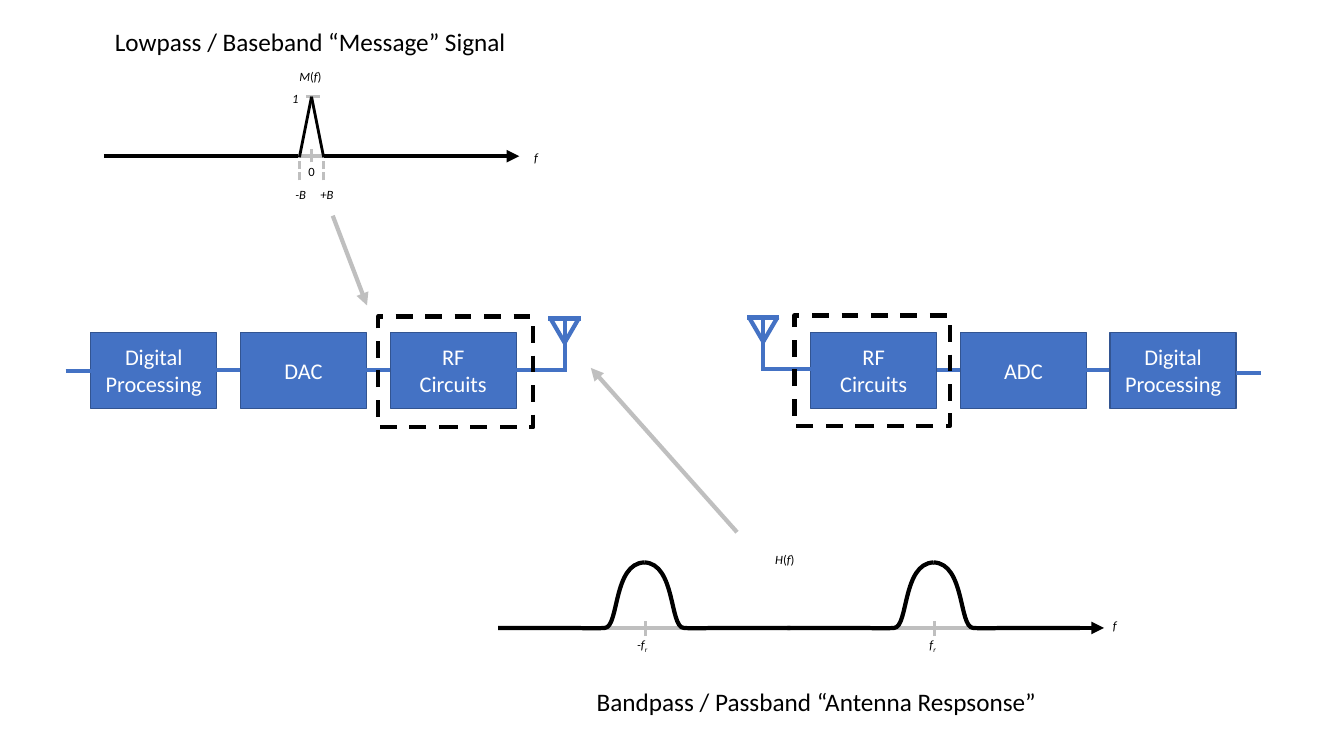
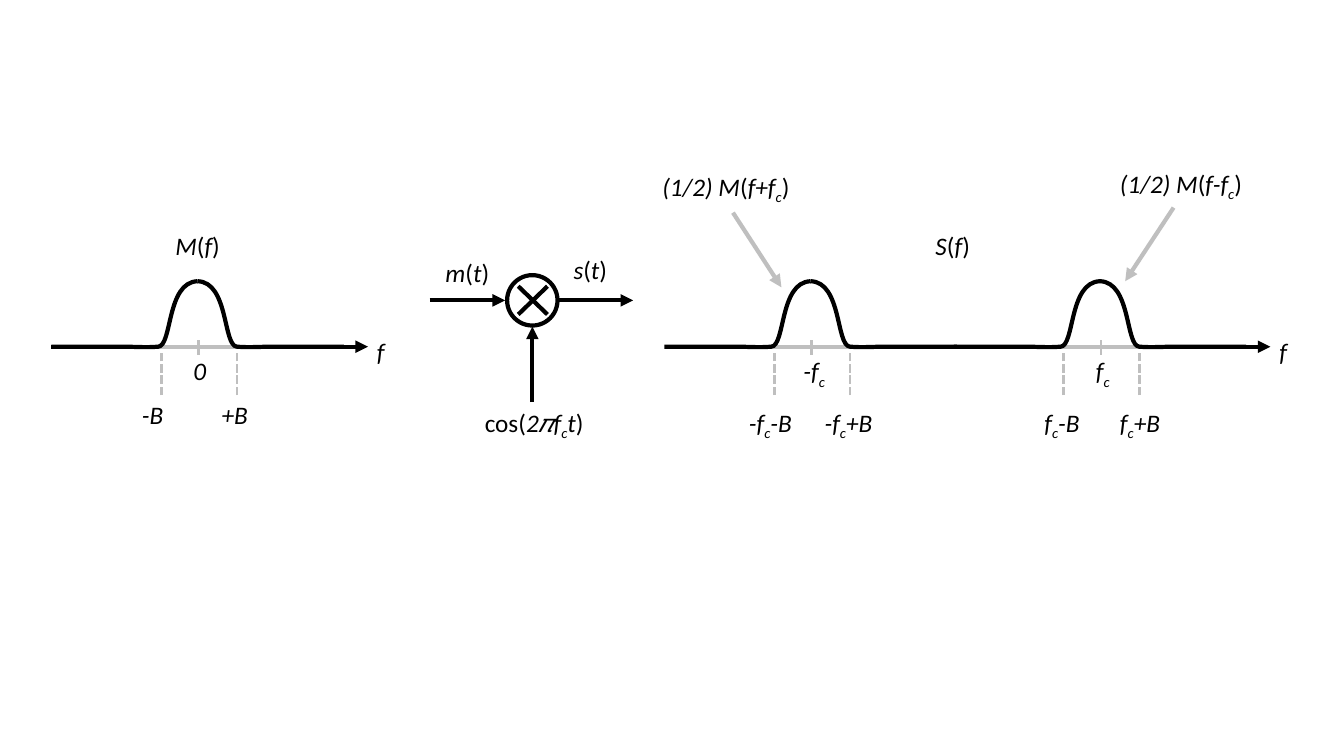
from dataclasses import dataclass

from lxml.etree import SubElement
from pptx import Presentation
from pptx.dml.color import RGBColor
from pptx.enum.dml import MSO_LINE
from pptx.enum.shapes import MSO_CONNECTOR, MSO_SHAPE
from pptx.enum.text import MSO_ANCHOR, MSO_AUTO_SIZE, PP_ALIGN
from pptx.oxml.ns import qn
from pptx.util import Inches, Pt


@dataclass(frozen=True)
class Theme:
    font: str = "Calibri"
    black: RGBColor = RGBColor(0x00, 0x00, 0x00)
    white: RGBColor = RGBColor(0xFF, 0xFF, 0xFF)
    grey: RGBColor = RGBColor(0xBF, 0xBF, 0xBF)
    blue: RGBColor = RGBColor(0x44, 0x72, 0xC4)
    blue_edge: RGBColor = RGBColor(0x32, 0x54, 0x91)
    large: int = 18
    block: int = 16
    small: int = 9
    thick: int = 3
    medium: int = 2
    thin: int = 1


theme = Theme()


def add_line(slide, start, end, color=theme.black, width=theme.thick, dash=None, arrow=False):
    """Draw a straight line between two points given in inches."""
    connector = slide.shapes.add_connector(
        MSO_CONNECTOR.STRAIGHT, *(Inches(value) for value in (*start, *end)))
    connector.line.color.rgb = color
    connector.line.width = Pt(width)
    if dash:
        connector.line.dash_style = dash
    properties = connector.element.spPr
    if arrow:
        SubElement(properties.find(qn("a:ln")), qn("a:tailEnd"), type="triangle")
    SubElement(properties, qn("a:effectLst"))


def add_label(slide, text, left, top, width, size=theme.large, wrap=False):
    """Add a text box; *...* marks italics and ~...~ marks a subscript."""
    height = 0.4 if size == theme.large else 0.25
    box = slide.shapes.add_textbox(Inches(left), Inches(top), Inches(width), Inches(height))
    frame = box.text_frame
    frame.word_wrap = wrap
    frame.auto_size = MSO_AUTO_SIZE.SHAPE_TO_FIT_TEXT
    paragraph = frame.paragraphs[0]
    paragraph.font.name = theme.font
    paragraph.font.size = Pt(size)
    paragraph.font.color.rgb = theme.black
    for part_number, part in enumerate(text.split("*")):
        for piece_number, piece in enumerate(part.split("~")):
            if not piece:
                continue
            run = paragraph.add_run()
            run.text = piece
            run.font.italic = part_number % 2 == 1
            if piece_number % 2:
                run.font._element.set("baseline", "-25000")


presentation = Presentation()
presentation.slide_width = Inches(13.33)
presentation.slide_height = Inches(7.5)
blank_layout = presentation.slide_layouts[6]
radio_slide = presentation.slides.add_slide(blank_layout)
mixer_slide = presentation.slides.add_slide(blank_layout)

# Transmitter and receiver chains: blocks with the wire on their outer side
block_width, block_height, block_pitch, block_top = 1.25, 0.75, 1.485, 3.3
wire_length, wire_y = 0.25, 3.67
chains = [
    (0.9, ["Digital Processing", "DAC", "RF\vCircuits"], -wire_length, [3.68, wire_y, wire_y]),
    (8.04, ["RF\vCircuits", "ADC", "Digital Processing"], block_width, [wire_y, wire_y, 3.7]),
]
for chain_left, names, wire_offset, wire_heights in chains:
    for index, (name, y) in enumerate(zip(names, wire_heights)):
        left = chain_left + index * block_pitch
        block = radio_slide.shapes.add_shape(
            MSO_SHAPE.RECTANGLE, Inches(left), Inches(block_top),
            Inches(block_width), Inches(block_height))
        block.shadow.inherit = False
        block.fill.solid()
        block.fill.fore_color.rgb = theme.blue
        block.line.color.rgb = theme.blue_edge
        block.line.width = Pt(theme.thin)
        frame = block.text_frame
        frame.word_wrap = True
        frame.vertical_anchor = MSO_ANCHOR.MIDDLE
        frame.text = name
        paragraph = frame.paragraphs[0]
        paragraph.alignment = PP_ALIGN.CENTER
        paragraph.font.name = theme.font
        paragraph.font.size = Pt(theme.block)
        paragraph.font.color.rgb = theme.white
        wire_start = left + wire_offset
        add_line(radio_slide, (wire_start, y), (wire_start + wire_length, y), theme.blue)

# Antennas with their feed lines
for x, top, feed_start, feed_end in [(5.6, 3.16, 5.12, 5.62), (7.57, 3.15, 7.55, 8.06)]:
    feed_y = top + 0.51
    tip = (x, top + 0.24)
    add_line(radio_slide, (feed_start, feed_y), (feed_end, feed_y), theme.blue)
    add_line(radio_slide, (x, top), (x, feed_y), theme.blue)
    add_line(radio_slide, (x - 0.14, top), tip, theme.blue)
    add_line(radio_slide, (x + 0.14, top), tip, theme.blue)
    add_line(radio_slide, (x - 0.16, top), (x + 0.16, top), theme.blue)

# Dashed frames around the RF circuits
for left, top in [(3.75, 3.14), (7.88, 3.13)]:
    frame_box = radio_slide.shapes.add_shape(
        MSO_SHAPE.RECTANGLE, Inches(left), Inches(top), Inches(1.54), Inches(1.1))
    frame_box.shadow.inherit = False
    frame_box.fill.background()
    frame_box.line.color.rgb = theme.black
    frame_box.line.width = Pt(theme.thick)
    frame_box.line.dash_style = MSO_LINE.DASH

# Frequency axes
for slide, start, end, y in [
    (radio_slide, 1.03, 5.15, 1.55),
    (radio_slide, 5.56, 10.95, 6.23),
    (mixer_slide, 0.51, 3.65, 3.44),
    (mixer_slide, 7.21, 12.6, 3.44),
]:
    add_line(slide, (start, y), (end, y), arrow=True)

# Triangular message spectrum
peak_x, peak_y, half_band, axis_y = 3.09, 0.96, 0.12, 1.55
add_line(radio_slide, (3.04, peak_y), (3.17, peak_y), theme.grey, theme.medium)
add_line(radio_slide, (2.96, axis_y), (3.21, axis_y), theme.grey)
for edge in (peak_x - half_band, peak_x + half_band):
    add_line(radio_slide, (edge, axis_y + 0.01), (peak_x, peak_y), width=theme.medium)
    add_line(radio_slide, (edge, 1.79), (edge, 1.57), theme.grey, theme.medium,
             MSO_LINE.SQUARE_DOT)
add_line(radio_slide, (peak_x, 1.61), (peak_x, 1.48), theme.grey, theme.medium)

# Bell-shaped pulses: each half is one straight piece and two Bézier curves
half_pulse = [
    (-1.45, 0), (-0.76, 0),
    (-0.59, 0), (-0.53, 0.01), (-0.39, 0),
    (-0.25, -0.01), (-0.31, -0.64), (0, -0.65),
]
for slide, centre, base in [
    (radio_slide, 6.39, 6.23), (radio_slide, 9.26, 6.23),
    (mixer_slide, 1.96, 3.44), (mixer_slide, 8.04, 3.44), (mixer_slide, 10.91, 3.44),
]:
    tick = centre + 0.01
    add_line(slide, (centre - 0.39, base), (centre + 0.39, base), theme.grey)
    add_line(slide, (tick, base + 0.08), (tick, base - 0.07), theme.grey, theme.medium)
    for side in (1, -1):
        points = [(Inches(centre + side * x), Inches(base + y)) for x, y in half_pulse]
        builder = slide.shapes.build_freeform(*points[0])
        builder.add_line_segments(points[1:], close=False)
        pulse = builder.convert_to_shape()
        pulse.shadow.inherit = False
        pulse.fill.background()
        pulse.line.color.rgb = theme.black
        pulse.line.width = Pt(theme.thick)
        # Turn the last six points into two cubic curves
        outline = next(pulse.element.iter(qn("a:path")))
        segments = outline.findall(qn("a:lnTo"))
        for curve_points in (segments[1:4], segments[4:7]):
            curve = SubElement(outline, qn("a:cubicBezTo"))
            for segment in curve_points:
                curve.append(segment[0])
                outline.remove(segment)

# Band-edge markers
for centre in (1.97, 8.05, 10.92):
    for edge in (centre - 0.37, centre + 0.38):
        add_line(mixer_slide, (edge, 3.92), (edge, 3.48), theme.grey, theme.medium,
                 MSO_LINE.SQUARE_DOT)

# Mixer: circle, cross and signal arrows
mixer = mixer_slide.shapes.add_shape(
    MSO_SHAPE.OVAL, Inches(5.03), Inches(2.73), Inches(0.5), Inches(0.5))
mixer.shadow.inherit = False
mixer.fill.background()
mixer.line.color.rgb = theme.black
mixer.line.width = Pt(theme.thick)
add_line(mixer_slide, (5.14, 2.84), (5.43, 3.12))
add_line(mixer_slide, (5.43, 2.84), (5.14, 3.12))
for start, end in [
    ((4.26, 2.98), (5.01, 2.98)),
    ((5.28, 3.99), (5.28, 3.24)),
    ((5.53, 2.98), (6.28, 2.98)),
]:
    add_line(mixer_slide, start, end, arrow=True)

# Grey pointers
for slide, start, end in [
    (radio_slide, (3.3, 2.14), (3.64, 3.03)),
    (radio_slide, (7.31, 5.28), (5.86, 3.65)),
    (mixer_slide, (7.27, 2.11), (7.75, 2.85)),
    (mixer_slide, (11.64, 2.06), (11.16, 2.79)),
]:
    add_line(slide, start, end, theme.grey, arrow=True)

# Captions and axis labels of the radio slide
add_label(radio_slide, "Lowpass / Baseband “Message” Signal", 1.04, 0.21, 4.12)
add_label(radio_slide, "Bandpass / Passband “Antenna Respsonse”", 5.82, 6.76, 4.61)
for text, left, top, width in [
    ("*M*(*f*)", 2.87, 0.63, 0.43),
    ("*1*", 2.8, 0.85, 0.27),
    ("0", 2.96, 1.58, 0.25),
    ("*f*", 5.2, 1.44, 0.24),
    ("*+B*", 3.08, 1.8, 0.33),
    ("*-B*", 2.83, 1.8, 0.31),
    ("*H*(*f*)", 7.59, 5.43, 0.4),
    ("*f*", 10.94, 6.08, 0.24),
    ("*f~r~*", 9.12, 6.27, 0.27),
    ("*-f~r~*", 6.22, 6.27, 0.31),
]:
    add_label(radio_slide, text, left, top, width, theme.small)

# Labels of the mixer slide
for text, left, top, width in [
    ("*M*(*f*)", 1.64, 2.24, 0.65),
    ("*f*", 3.64, 3.29, 0.28),
    ("*0*", 1.82, 3.48, 0.33),
    ("*+B*", 2.1, 3.91, 0.46),
    ("*-B*", 1.31, 3.91, 0.42),
    ("*m*(*t*)", 4.32, 2.5, 0.64),
    ("*s*(*t*)", 5.59, 2.47, 0.54),
    ("cos(*2𝜋f~c~t*)", 4.71, 3.99, 1.23),
    ("*S*(*f*)", 9.18, 2.24, 0.55),
    ("*f*", 12.59, 3.29, 0.28),
    ("*f~c~*", 10.77, 3.48, 0.35),
    ("*-f~c~*", 7.87, 3.48, 0.42),
    ("*(1/2) M*(*f-f~c~*)", 11.01, 1.62, 1.43),
    ("*(1/2) M*(*f+f~c~*)", 6.47, 1.65, 1.48),
]:
    add_label(mixer_slide, text, left, top, width)
for text, left in [
    ("*-f~c~-B*", 7.33), ("*-f~c~+B*", 8.08), ("*f~c~-B*", 10.26), ("*f~c~+B*", 11.01),
]:
    add_label(mixer_slide, text, left, 3.99, 0.72, wrap=True)

presentation.save("out.pptx")
